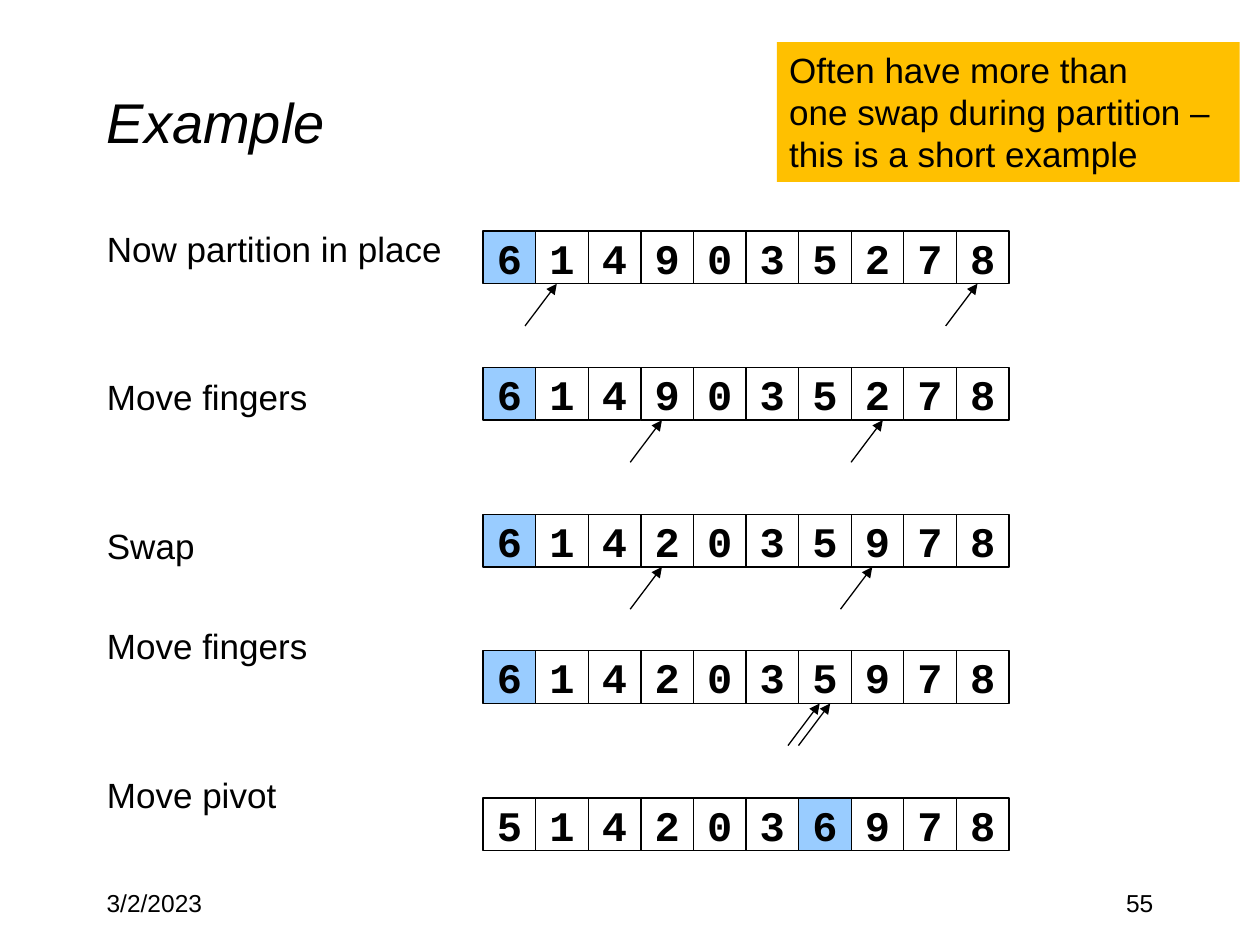
from lxml import etree
from pptx import Presentation
from pptx import util as u
from pptx.dml.color import RGBColor
from pptx.enum import shapes, text
from pptx.oxml import ns

COLORS = {"ink": "000000", "pivot": "99CCFF", "callout": "FFC000"}
CELL = 1.06
ROW_LEFT = 9.74
FINGER_DX, FINGER_DY = 0.64, 0.85


def rgb(name):
    return RGBColor.from_string(COLORS[name])


def write(paragraph, content, size=20, font="Arial", bold=False, italic=False,
          align=text.PP_ALIGN.LEFT, before=0):
    paragraph.alignment = align
    paragraph.space_before = u.Pt(before)
    run = paragraph.add_run()
    run.text = content
    run.font.size = u.Pt(size)
    run.font.name = font
    run.font.bold = bold
    run.font.italic = italic
    run.font.color.rgb = rgb("ink")


def place(shape, left, top, width, height):
    shape.left, shape.top = u.Cm(left), u.Cm(top)
    shape.width, shape.height = u.Cm(width), u.Cm(height)


class SlideBuilder:
    """Holds the current slide and the shared line style."""

    line_width = u.Pt(0.75)

    def __init__(self, slide):
        self.slide = slide

    def title(self, content, *box):
        heading = self.slide.shapes.title
        place(heading, *box)
        heading.text_frame.vertical_anchor = text.MSO_ANCHOR.MIDDLE
        write(heading.text_frame.paragraphs[0], content, size=32, italic=True)

    def steps(self, labels, *box):
        body = self.slide.placeholders[1]
        place(body, *box)
        frame = body.text_frame
        frame.auto_size = text.MSO_AUTO_SIZE.NONE
        for i, (label, before) in enumerate(labels):
            paragraph = frame.add_paragraph() if i else frame.paragraphs[0]
            write(paragraph, label, before=before)
            # Hanging indent without a bullet
            props = paragraph._p.get_or_add_pPr()
            props.set("marL", str(u.Cm(0.95)))
            props.set("indent", str(u.Cm(-0.95)))
            etree.SubElement(props, ns.qn("a:buNone"))

    def footer(self, content, left, align):
        note = self.slide.shapes.add_textbox(
            u.Cm(left), u.Cm(17.78), u.Cm(5.29), u.Cm(1.27))
        note.text_frame.word_wrap = True
        write(note.text_frame.paragraphs[0], content, size=14, align=align)

    def callout(self, lines, *box):
        note = self.slide.shapes.add_shape(
            shapes.MSO_SHAPE.RECTANGLE, *map(u.Cm, box))
        note.shadow.inherit = False
        note.fill.solid()
        note.fill.fore_color.rgb = rgb("callout")
        note.line.fill.background()
        frame = note.text_frame
        frame.word_wrap = False
        frame.auto_size = text.MSO_AUTO_SIZE.SHAPE_TO_FIT_TEXT
        frame.vertical_anchor = text.MSO_ANCHOR.TOP
        for i, line in enumerate(lines):
            write(frame.add_paragraph() if i else frame.paragraphs[0], line)

    def cell(self, group, digit, left, top, is_pivot):
        box = group.shapes.add_shape(
            shapes.MSO_SHAPE.RECTANGLE,
            u.Cm(left), u.Cm(top), u.Cm(CELL), u.Cm(CELL))
        box.shadow.inherit = False
        if is_pivot:
            box.fill.solid()
            box.fill.fore_color.rgb = rgb("pivot")
        else:
            box.fill.background()
        box.line.color.rgb = rgb("ink")
        box.line.width = self.line_width
        box.text_frame.word_wrap = False
        box.text_frame.vertical_anchor = text.MSO_ANCHOR.MIDDLE
        write(box.text_frame.paragraphs[0], digit, size=24, font="Courier New",
              bold=True, align=text.PP_ALIGN.CENTER)

    def finger(self, group, tip_x, tip_y):
        arrow = group.shapes.add_connector(
            shapes.MSO_CONNECTOR.STRAIGHT,
            u.Cm(tip_x - FINGER_DX), u.Cm(tip_y + FINGER_DY),
            u.Cm(tip_x), u.Cm(tip_y))
        arrow.line.color.rgb = rgb("ink")
        arrow.line.width = self.line_width
        etree.SubElement(arrow.line._get_or_add_ln(), ns.qn("a:tailEnd"),
                         type="triangle")
        etree.SubElement(arrow._element.spPr, ns.qn("a:effectLst"))

    def array(self, digits, top, fingers, pivot="6"):
        """Draw a row of cells; fingers are positions counted in cells."""
        group = self.slide.shapes.add_group_shape()
        for i, digit in enumerate(digits):
            self.cell(group, digit, ROW_LEFT + i * CELL, top, digit == pivot)
        for position in fingers:
            self.finger(group, ROW_LEFT + position * CELL, top + CELL)


def main():
    deck = Presentation()
    deck.slide_width, deck.slide_height = u.Cm(25.4), u.Cm(19.05)
    builder = SlideBuilder(deck.slides.add_slide(deck.slide_layouts[1]))

    # Title and step labels, each with its space before in points
    builder.title("Example", 1.9, 0.85, 21.6, 3.17)
    builder.steps([("Now partition in place", 5), ("Move fingers", 61),
                   ("Swap", 61), ("Move fingers", 33), ("Move pivot", 61)],
                  1.9, 4.45, 8.26, 12.49)

    # Date and slide number
    builder.footer("3/2/2023", 1.9, text.PP_ALIGN.LEFT)
    builder.footer("55", 18.21, text.PP_ALIGN.RIGHT)

    # Array after each step, with the two fingers
    for digits, top, fingers in [
        ("6149035278", 4.66, (1.4, 9.4)),
        ("6149035278", 7.41, (3.4, 7.6)),
        ("6142035978", 10.37, (3.4, 7.4)),
        ("6142035978", 13.12, (6.6, 6.4)),
        ("5142036978", 16.09, ()),
    ]:
        builder.array(digits, top, fingers)

    # Remark in the corner
    builder.callout(["Often have more than", "one swap during partition –",
                     "this is a short example"], 15.66, 0.85, 9.33, 2.82)

    deck.save("out.pptx")


if __name__ == "__main__":
    main()
